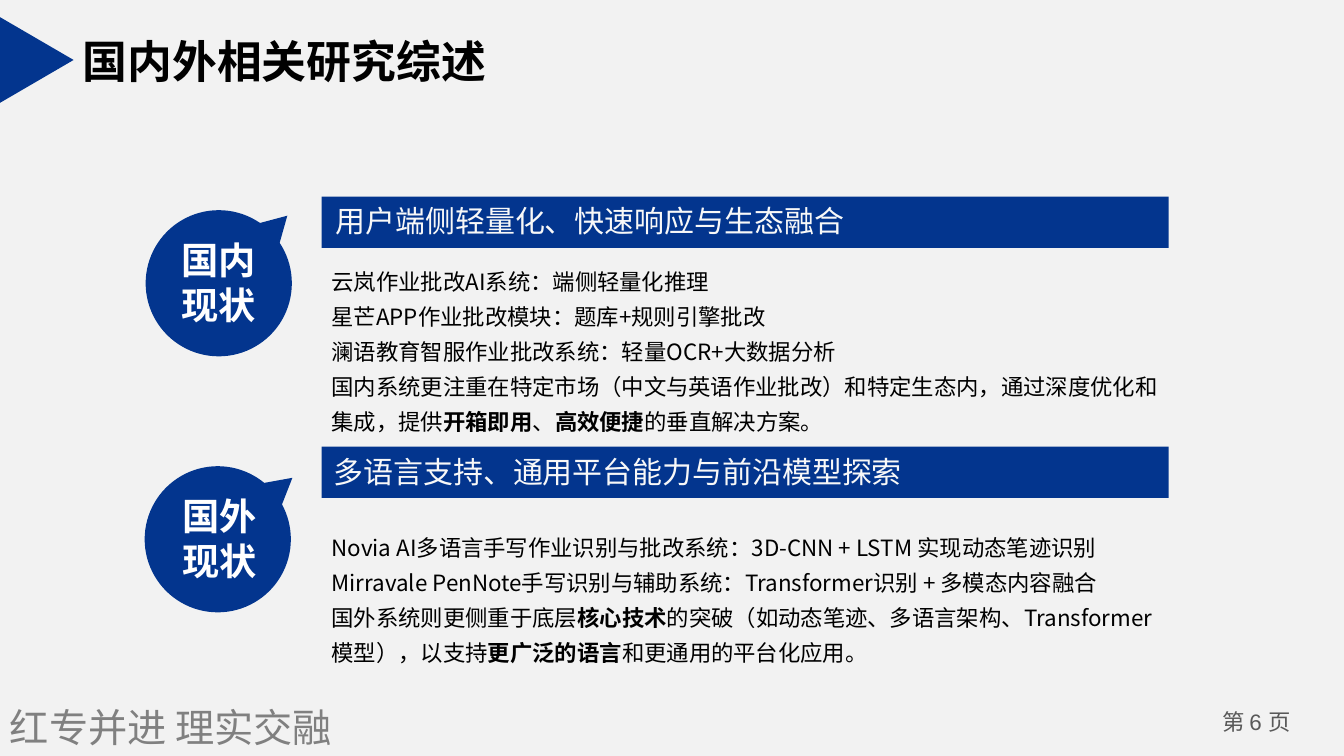
from pptx import Presentation
from pptx import util as u
from pptx.dml.color import RGBColor
from pptx.enum import shapes, text
from pptx.oxml.ns import qn
from lxml import etree

NAVY = RGBColor(0x03, 0x35, 0x8E)
PALE = RGBColor(0xF2, 0xF2, 0xF2)
SNOW = RGBColor(0xF8, 0xF8, 0xF8)
WHITE = RGBColor(0xFF, 0xFF, 0xFF)
BLACK = RGBColor(0, 0, 0)
GRAY = RGBColor(0x80, 0x80, 0x80)
DARK_GRAY = RGBColor(0x59, 0x59, 0x59)
HAN_FONT = "Noto Sans CJK SC"
LEFT, CENTER = text.PP_ALIGN.LEFT, text.PP_ALIGN.CENTER

deck = Presentation()
deck.slide_width, deck.slide_height = u.Inches(13.33), u.Inches(7.5)
page = deck.slides.add_slide(deck.slide_layouts[6])
page.background.fill.solid()
page.background.fill.fore_color.rgb = PALE


def add_text(place, paragraphs, size, color, align=LEFT, spacing=1.0, wrap=True):
    box = page.shapes.add_textbox(*[u.Inches(length) for length in place])
    frame = box.text_frame
    frame.word_wrap = wrap
    for index, runs in enumerate(paragraphs):
        para = frame.paragraphs[0] if index == 0 else frame.add_paragraph()
        para.alignment = align
        para.line_spacing = spacing
        for words, bold, font in runs:
            span = para.add_run()
            span.text = words
            span.font.size = u.Pt(size)
            span.font.bold = bold
            span.font.name = font
            span.font.color.rgb = color
            east_asian = etree.SubElement(span._r.get_or_add_rPr(), qn("a:ea"))
            east_asian.set("typeface", font)
    return frame


def add_navy_shape(preset, place):
    shape = page.shapes.add_shape(preset, *[u.Inches(length) for length in place])
    shape.shadow.inherit = False
    shape.fill.solid()
    shape.fill.fore_color.rgb = NAVY
    shape.line.fill.background()
    return shape


add_text((11.86, 6.98, 1.2, 0.4),
         [[("第 ", False, HAN_FONT), ("6 ", False, "Arial"), ("页", False, HAN_FONT)]],
         16, DARK_GRAY, CENTER)
add_text((0, 6.93, 3.94, 0.57), [[("红专并进 理实交融", False, HAN_FONT)]], 28, GRAY)

title = add_text((0.69, 0.26, 4.31, 0.67),
                 [[("国内外相关研究综述", True, "Arial")]], 32, BLACK, wrap=False)
title.margin_left = title.margin_right = u.Inches(0.13)
title.margin_top = title.margin_bottom = u.Inches(0.07)

marker = add_navy_shape(shapes.MSO_SHAPE.ISOSCELES_TRIANGLE, (-0.06, 0.23, 0.85, 0.73))
marker.rotation = 90

domestic = [
    [("云岚作业批改AI系统：端侧轻量化推理", False)],
    [("星芒APP作业批改模块：题库+规则引擎批改", False)],
    [("澜语教育智服作业批改系统：轻量OCR+大数据分析", False)],
    [("国内系统更注重在特定市场（中文与英语作业批改）和特定生态内，通过深度优化和集成，提供", False),
     ("开箱即用", True), ("、", False), ("高效便捷", True), ("的垂直解决方案。", False)],
]
foreign = [
    [("Novia AI多语言手写作业识别与批改系统：3D-CNN + LSTM 实现动态笔迹识别", False)],
    [("Mirravale PenNote手写识别与辅助系统：Transformer识别 + 多模态内容融合", False)],
    [("国外系统则更侧重于底层", False), ("核心技术", True),
     ("的突破（如动态笔迹、多语言架构、Transformer模型），以支持", False),
     ("更广泛的语言", True), ("和更通用的平台化应用。", False)],
]
sections = [
    ("国内", 1.95, (3.23, 1.96, 6.77, 0.46), "用户端侧轻量化、快速响应与生态融合",
     (3.19, 2.53, 8.4, 1.85), domestic, (2.17, 2.81), (2.85, 2.14), (1.7, 2.53, 0.94, 0.54)),
    ("国外", 4.43, (3.21, 4.45, 6.48, 0.46), "多语言支持、通用平台能力与前沿模型探索",
     (3.19, 5.17, 8.4, 1.5), foreign, (2.16, 5.35), (2.9, 4.74), (1.71, 5.07, 0.94, 0.54)),
]
DIAMETER = 1.45

for region, bar_top, heading_place, heading, body_place, body, center, tip, label_place in sections:
    add_navy_shape(shapes.MSO_SHAPE.RECTANGLE, (3.19, bar_top, 8.4, 0.51))
    add_text(heading_place, [[(heading, False, HAN_FONT)]], 21.4, SNOW)
    add_text(body_place,
             [[(words, bold, HAN_FONT) for words, bold in runs] for runs in body],
             16, BLACK, spacing=1.3)

    bubble = add_navy_shape(shapes.MSO_SHAPE.OVAL_CALLOUT,
                            (center[0] - DIAMETER / 2, center[1] - DIAMETER / 2,
                             DIAMETER, DIAMETER))
    for axis in range(2):
        bubble.adjustments[axis] = (tip[axis] - center[axis]) / DIAMETER

    label = add_text(label_place,
                     [[(line, True, HAN_FONT)] for line in (region, "现状")],
                     26.6, WHITE, CENTER, wrap=False)
    label.vertical_anchor = text.MSO_ANCHOR.MIDDLE

deck.save("out.pptx")
